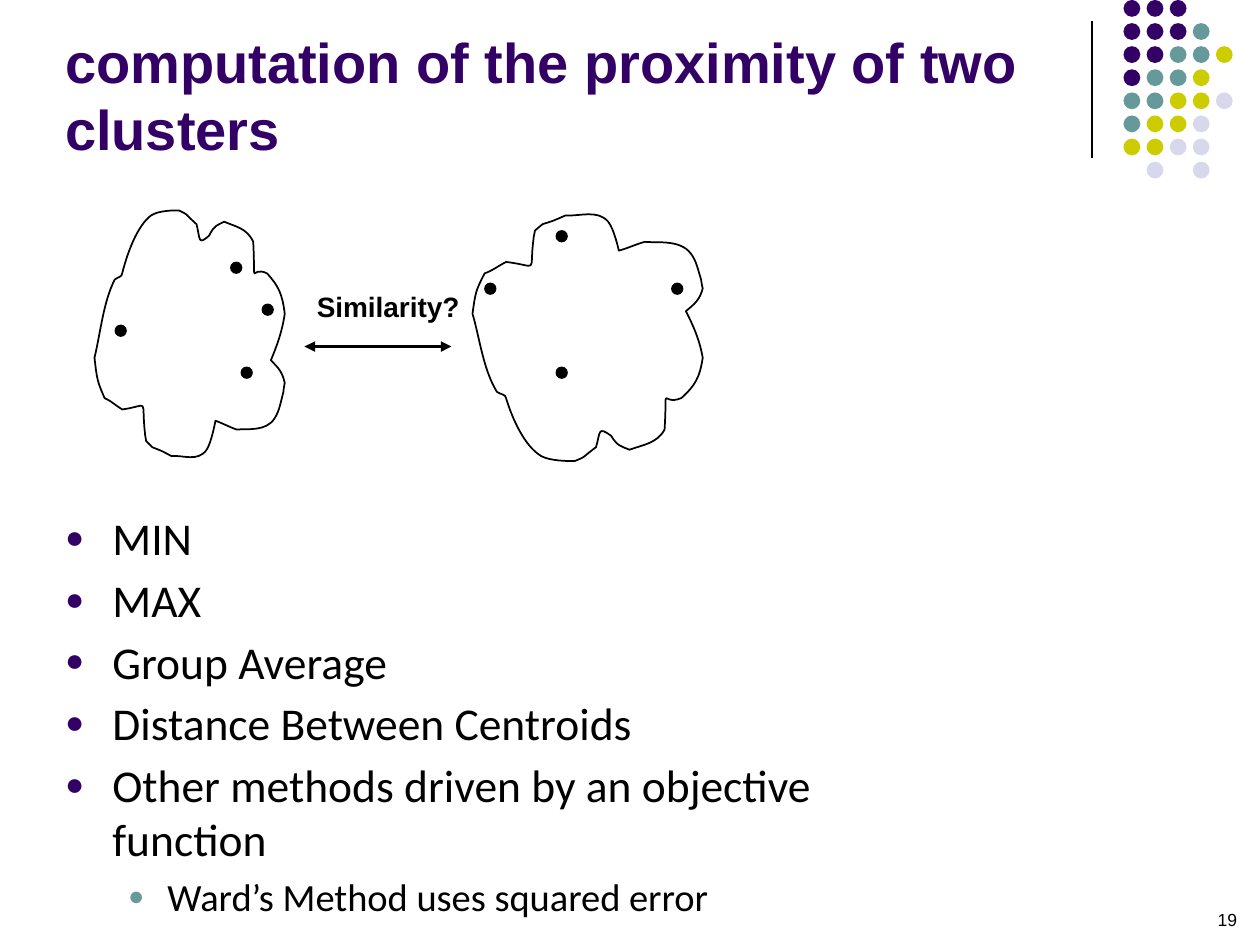
"""Build the slide on the proximity of two clusters."""
import pptx
import pptx.util
import pptx.dml.color
import pptx.enum.shapes
import pptx.enum.text
import pptx.oxml
import pptx.oxml.ns

Pt = pptx.util.Pt
RGB = pptx.dml.color.RGBColor.from_string
KIND = pptx.enum.shapes.MSO_SHAPE.OVAL
LINE = pptx.enum.shapes.MSO_CONNECTOR.STRAIGHT
ALIGN = pptx.enum.text.PP_ALIGN
ANCHOR = pptx.enum.text.MSO_ANCHOR
SIZE = pptx.enum.text.MSO_AUTO_SIZE
SPACE = pptx.oxml.ns.nsdecls("a")

THEME = {
    "ink": RGB("000000"),
    "dots": {"P": "330066", "T": "669999", "Y": "CCCC00", "L": "D8D8EC"},
    "title": {"name": "Arial", "size": Pt(32), "bold": True},
    "label": {"name": "Arial", "size": Pt(16), "bold": True},
    "page": {"name": "Arial", "size": Pt(10), "bold": False},
    "list": [{"name": "Calibri", "size": Pt(26)}, {"name": "Calibri", "size": Pt(22)}],
}

deck = pptx.Presentation()
deck.slide_width = pptx.util.Inches(10)
deck.slide_height = pptx.util.Inches(7.5)
CELL = deck.slide_width // 120
slide = deck.slides.add_slide(deck.slide_layouts[1])
shapes = slide.shapes


def write(para, text, form, color):
    """Add a run of text with the given font values."""
    run = para.add_run()
    run.text = text
    for key, val in form.items():
        setattr(run.font, key, val)
    run.font.color.rgb = color


def dot(home, col, row, size, color):
    """Draw a plain disc with its corner at a grid cell."""
    disc = home.add_shape(KIND, *[round(n * CELL) for n in (col, row, size, size)])
    disc.shadow.inherit = False
    disc.fill.solid()
    disc.fill.fore_color.rgb = color
    disc.line.fill.background()
    return disc


for x1, y1, x2, y2, width, heads in [
    (104, 2, 104, 15, 0.75, ()),
    (29, 33, 43, 33, 2, ("headEnd", "tailEnd")),
]:
    link = shapes.add_connector(LINE, *[n * CELL for n in (x1, y1, x2, y2)])
    link.line.width = Pt(width)
    link.line.color.rgb = THEME["ink"]
    props = link._element.spPr
    stroke = props.find(pptx.oxml.ns.qn("a:ln"))
    for head in heads:
        stroke.append(pptx.oxml.parse_xml(f'<a:{head} {SPACE} type="triangle"/>'))
    props.append(pptx.oxml.parse_xml(f"<a:effectLst {SPACE}/>"))

ROWS = ["PPP", "PPPT", "PPTTY", "PTTY", "TTYYL", "TYYL", "YYLL", " L L"]
group = shapes.add_group_shape()
for row, marks in enumerate(ROWS):
    for col, mark in enumerate(marks):
        if mark in THEME["dots"]:
            dot(group.shapes, 107 + 2.2 * col, 2.2 * row, 1.6, RGB(THEME["dots"][mark]))

title = shapes.title
body = slide.placeholders[1]
label = shapes.add_textbox(0, 0, CELL, CELL)
page = shapes.add_textbox(0, 0, CELL, CELL)
for box, spot, anchor in [
    (title, (5, 8.8, 108.7, 7.2), ANCHOR.BOTTOM),
    (body, (5, 48, 76, 41), ANCHOR.TOP),
    (label, (29, 27, 19, 4.4), ANCHOR.TOP),
    (page, (91, 86, 28, 3), ANCHOR.TOP),
]:
    for key, val in zip(("left", "top", "width", "height"), spot):
        setattr(box, key, round(val * CELL))
    frame = {"word_wrap": True, "auto_size": SIZE.NONE, "vertical_anchor": anchor}
    for key, val in frame.items():
        setattr(box.text_frame, key, val)

for box, text, form, color, align in [
    (title, "computation of the proximity of two clusters", "title",
     RGB(THEME["dots"]["P"]), ALIGN.LEFT),
    (label, "Similarity?", "label", THEME["ink"], ALIGN.LEFT),
    (page, "19", "page", THEME["ink"], ALIGN.RIGHT),
]:
    para = box.text_frame.paragraphs[0]
    para.alignment = align
    write(para, text, THEME[form], color)

ITEMS = [
    ("MIN", 0),
    ("MAX", 0),
    ("Group Average", 0),
    ("Distance Between Centroids", 0),
    ("Other methods driven by an objective function", 0),
    ("Ward’s Method uses squared error", 1),
]
INDENTS = [(4.5, -4.5), (9.75, -3.75)]
for num, (text, level) in enumerate(ITEMS):
    para = body.text_frame.add_paragraph() if num else body.text_frame.paragraphs[0]
    para.level = level
    props = para._p.get_or_add_pPr()
    for key, val in zip(("marL", "indent"), INDENTS[level]):
        props.set(key, str(round(val * CELL)))
    tint = THEME["dots"]["PT"[level]]
    for tag in [
        f'<a:buClr {SPACE}><a:srgbClr val="{tint}"/></a:buClr>',
        f'<a:buSzPct {SPACE} val="70000"/>',
        f'<a:buFont {SPACE} typeface="Arial"/>',
        f'<a:buChar {SPACE} char="●"/>',
    ]:
        props.append(pptx.oxml.parse_xml(tag))
    para.space_before = Pt(2 if num else 0)
    para.space_after = Pt(2)
    write(para, text, THEME["list"][level], THEME["ink"])

CURVES = [
    (0.82, 2.4, 0.8, 2.63, 0.75, 2.84), (0.77, 3.01, 0.77, 3.02, 0.83, 3.16),
    (0.88, 3.18, 0.92, 3.22, 0.97, 3.25), (1.19, 3.22, 1.12, 3.15, 1.15, 3.43),
    (1.15, 3.46, 1.16, 3.48, 1.16, 3.5), (1.23, 3.57, 1.19, 3.54, 1.26, 3.57),
    (1.29, 3.58, 1.36, 3.62, 1.36, 3.62), (1.45, 3.61, 1.57, 3.67, 1.64, 3.57),
    (1.68, 3.51, 1.71, 3.34, 1.71, 3.34), (1.77, 3.36, 1.82, 3.39, 1.88, 3.41),
    (1.96, 3.4, 2.11, 3.43, 2.18, 3.32), (2.22, 3.26, 2.23, 3.18, 2.25, 3.11),
    (2.25, 3.09, 2.26, 3.04, 2.26, 3.04), (2.24, 2.95, 2.21, 2.92, 2.15, 2.86),
    (2.2, 2.74, 2.24, 2.63, 2.26, 2.49), (2.24, 2.33, 2.21, 2.27, 2.12, 2.17),
    (1.98, 2.1, 2.03, 2.32, 2.01, 1.92), (1.96, 1.81, 1.87, 1.8, 1.78, 1.76),
    (1.72, 1.79, 1.7, 1.79, 1.66, 1.87), (1.57, 1.95, 1.59, 1.9, 1.56, 1.78),
    (1.45, 1.68, 1.5, 1.71, 1.42, 1.67), (1.38, 1.67, 1.26, 1.67, 1.2, 1.71),
    (1.09, 1.79, 1.01, 2.01, 0.97, 2.17), (0.97, 2.2, 0.93, 2.2, 0.91, 2.22),
]
edge = [curve[n:n + 2] for curve in CURVES for n in (0, 2, 4)]

CLOUDS = [
    (0.75, 1, 0, 1, [(23, 35), (22, 25), (11, 31), (25, 29)]),
    (3.75, 1.21, 5.33, -1, [(64, 27), (46.2, 27), (53, 35), (53, 22)]),
]
for left, wide, base, flip, points in CLOUDS:
    ring = [
        (pptx.util.Inches(left + (x - 0.75) * wide), pptx.util.Inches(base + flip * y))
        for x, y in edge
    ]
    pen = shapes.build_freeform(*ring[-1], scale=1.0)
    pen.add_line_segments(ring, close=True)
    cloud = pen.convert_to_shape()
    lines = list(cloud._element.iter(pptx.oxml.ns.qn("a:lnTo")))
    for first in range(0, len(ring), 3):
        bend = pptx.oxml.parse_xml(f"<a:cubicBezTo {SPACE}/>")
        lines[first].addprevious(bend)
        for line in lines[first:first + 3]:
            bend.append(line[0])
            line.getparent().remove(line)
    cloud.shadow.inherit = False
    cloud.fill.background()
    discs = [dot(shapes, col, row, 1, THEME["ink"]) for col, row in points]
    for shape in [cloud] + discs:
        shape.line.width = Pt(1)
        shape.line.color.rgb = THEME["ink"]

deck.save("out.pptx")
